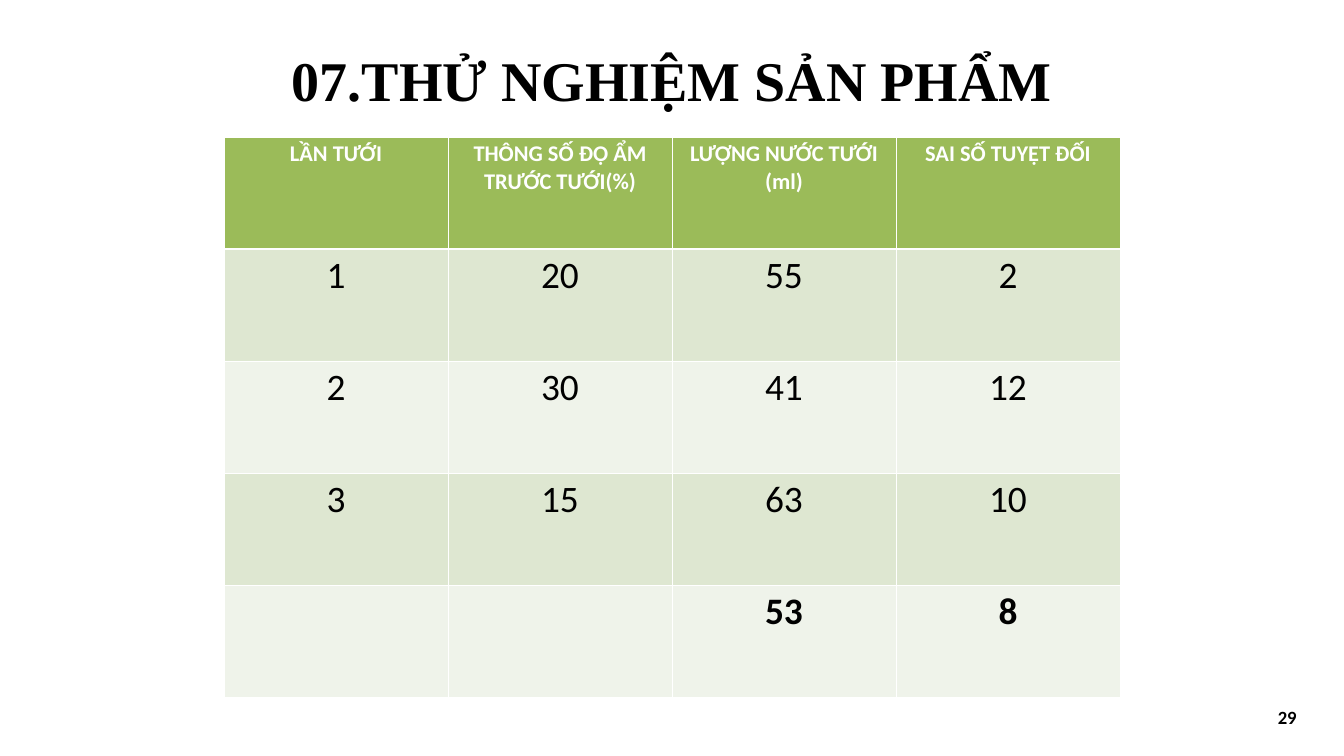
from dataclasses import dataclass

from lxml.etree import SubElement
from pptx import Presentation
from pptx.dml.color import RGBColor
from pptx.enum.text import MSO_ANCHOR, PP_ALIGN
from pptx.oxml.ns import qn
from pptx.util import Pt

TITLE = "07.THỬ NGHIỆM SẢN PHẨM"
HEADINGS = [
    "LẦN TƯỚI",
    "THÔNG SỐ ĐỘ ẨM TRƯỚC TƯỚI(%)",
    "LƯỢNG NƯỚC TƯỚI (ml)",
    "SAI SỐ TUYỆT ĐỐI",
]
TRIALS = [
    ["1", "20", "55", "2"],
    ["2", "30", "41", "12"],
    ["3", "15", "63", "10"],
]
AVERAGES = ["", "", "53", "8"]
PAGE_NUMBER = "29"


@dataclass(frozen=True)
class Theme:
    black: str = "000000"
    white: str = "FFFFFF"
    header: str = "9BBB59"
    bands: tuple = ("DEE7D1", "EFF3EA")
    title_font: str = "Times New Roman"
    body_font: str = "Calibri"
    title_size: int = 60
    heading_size: int = 24
    value_size: int = 40
    number_size: int = 20
    rule: int = 1
    header_rule: int = 3


THEME = Theme()
EMU_PER_PX = 9525


def px(length):
    return length * EMU_PER_PX


def write(frame, text, font, size, color, bold, align):
    paragraph = frame.paragraphs[0]
    paragraph.text = text
    paragraph.alignment = align
    paragraph.font.name = font
    paragraph.font.size = Pt(size)
    paragraph.font.bold = bold
    paragraph.font.color.rgb = RGBColor.from_string(color)


def add_text(slide, box, text, font, size, align, anchor):
    frame = slide.shapes.add_textbox(*map(px, box)).text_frame
    frame.word_wrap = True
    frame.vertical_anchor = anchor
    write(frame, text, font, size, THEME.black, True, align)


def set_borders(cell, top, bottom):
    properties = cell._tc.get_or_add_tcPr()
    widths = {"L": THEME.rule, "R": THEME.rule, "T": top, "B": bottom}
    for side, width in widths.items():
        line = SubElement(properties, qn(f"a:ln{side}"), w=str(Pt(width)))
        fill = SubElement(line, qn("a:solidFill"))
        SubElement(fill, qn("a:srgbClr"), val=THEME.white)


def add_results(slide, left, top, column_width, row_height):
    rows = [HEADINGS, *TRIALS, AVERAGES]
    columns = len(HEADINGS)
    table = slide.shapes.add_table(
        len(rows), columns, px(left), px(top),
        px(column_width * columns), px(row_height * len(rows)),
    ).table
    for column in table.columns:
        column.width = px(column_width)
    for index, values in enumerate(rows):
        table.rows[index].height = px(row_height)
        heading = index == 0
        fill = THEME.header if heading else THEME.bands[(index - 1) % 2]
        size = THEME.heading_size if heading else THEME.value_size
        color = THEME.white if heading else THEME.black
        bold = heading or values is AVERAGES
        above = THEME.header_rule if index == 1 else THEME.rule
        below = THEME.header_rule if heading else THEME.rule
        for position, value in enumerate(values):
            cell = table.cell(index, position)
            set_borders(cell, above, below)
            cell.fill.solid()
            cell.fill.fore_color.rgb = RGBColor.from_string(fill)
            write(cell.text_frame, value, THEME.body_font, size, color, bold, PP_ALIGN.CENTER)


def main():
    deck = Presentation()
    deck.slide_width, deck.slide_height = px(1920), px(1080)
    slide = deck.slides.add_slide(deck.slide_layouts[6])
    add_text(slide, (392, 36, 1136, 155), TITLE, THEME.title_font,
             THEME.title_size, PP_ALIGN.CENTER, MSO_ANCHOR.MIDDLE)
    add_results(slide, left=320, top=196, column_width=320, row_height=160)
    add_text(slide, (1816, 1004, 56, 42), PAGE_NUMBER, THEME.body_font,
             THEME.number_size, PP_ALIGN.LEFT, MSO_ANCHOR.TOP)
    deck.save("out.pptx")


if __name__ == "__main__":
    main()
